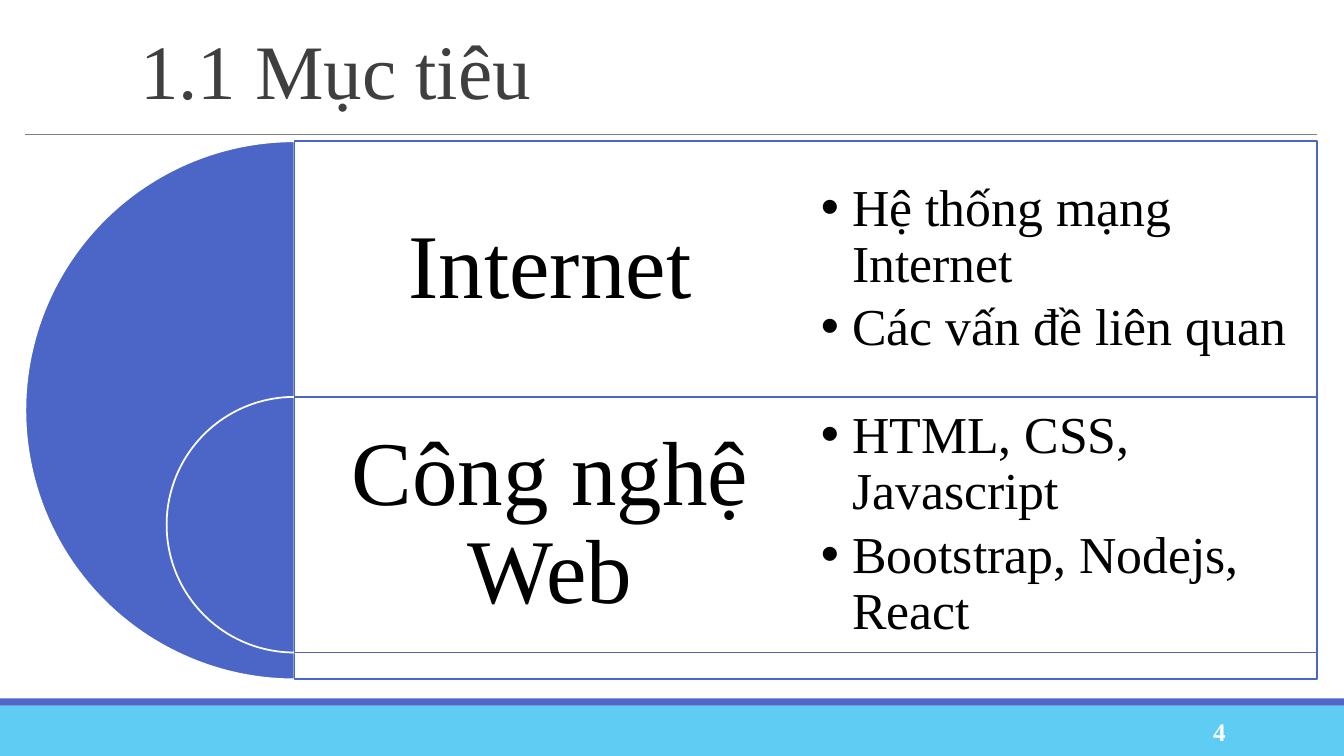
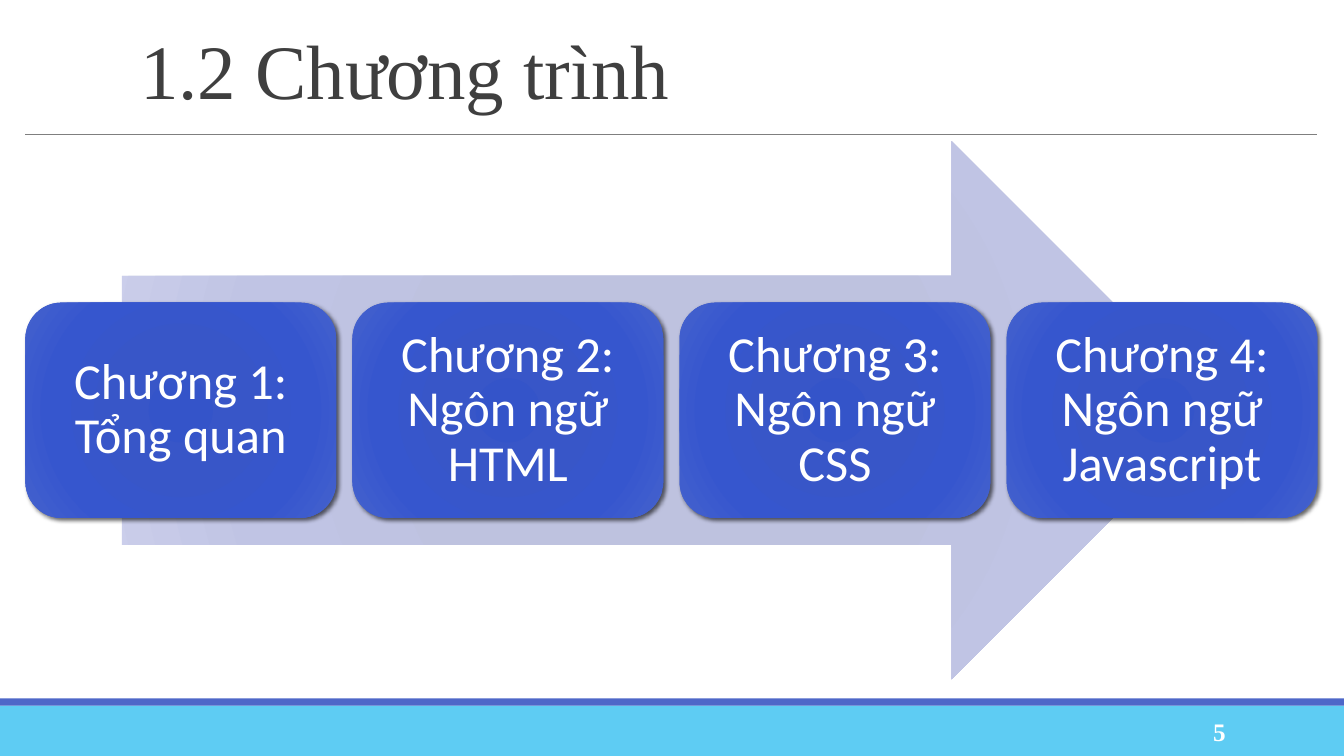
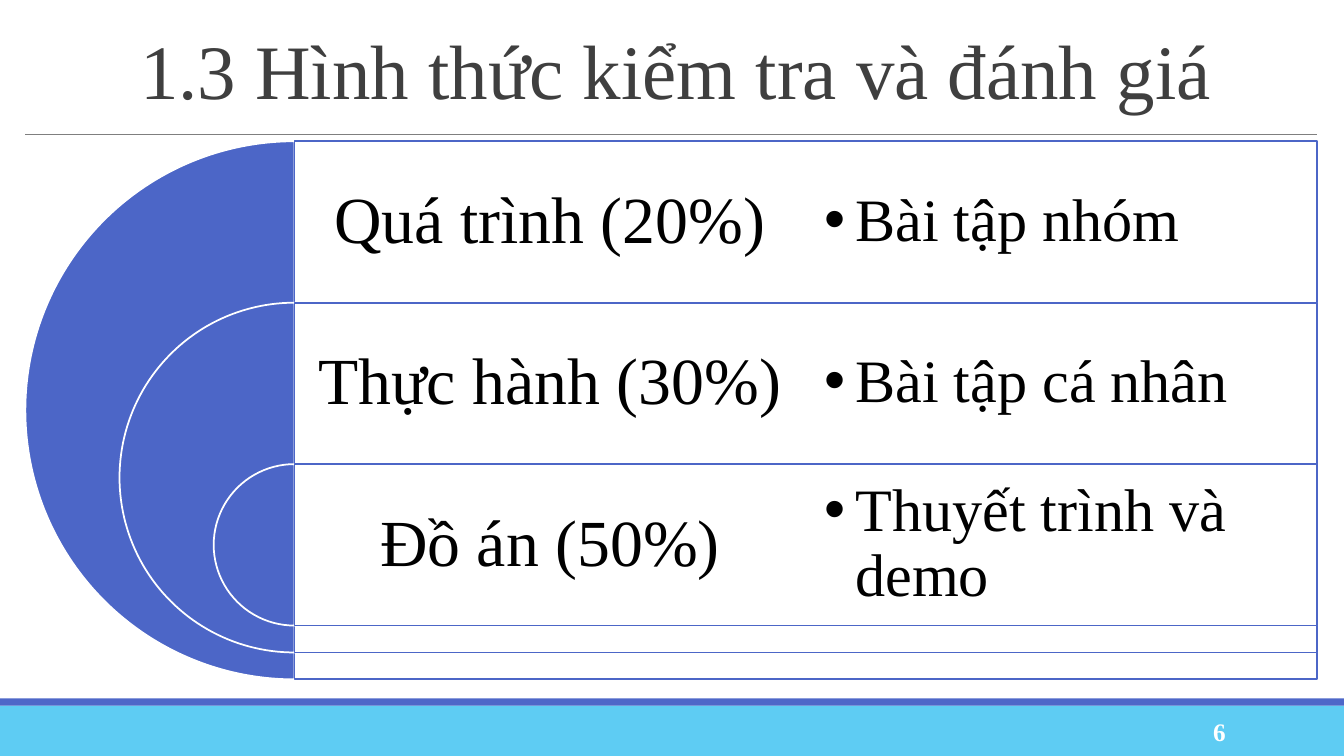
from dataclasses import dataclass

import lxml.etree
import pptx
import pptx.dml.color
import pptx.enum.shapes
import pptx.enum.text
import pptx.oxml.ns
import pptx.util

Cm = pptx.util.Cm
Pt = pptx.util.Pt
Shape = pptx.enum.shapes.MSO_SHAPE
Align = pptx.enum.text.PP_ALIGN
Anchor = pptx.enum.text.MSO_ANCHOR
qn = pptx.oxml.ns.qn

# Shared look
COLORS = {
    "footer": "5ECCF3", "band": "4E67C8", "rule": "7F7F7F", "title": "3F3F3F",
    "accent": "4C66C7", "white": "FFFFFF", "black": "000000",
}
ARROW_STOPS = {0: "BCC0DD", 34: "BEC2DF", 70: "C0C4E4", 100: "CDD0EC"}
CARD_STOPS = {0: "3454C9", 34: "3856C8", 70: "3656CE", 100: "4562CD"}
SERIF, SANS = "Times New Roman", "Calibri"
SLIDE_W, SLIDE_H = 33.87, 19.05

# Content area, in centimetres
LEFT, TOP, WIDTH, HEIGHT = 0.64, 3.56, 32.56, 13.56


@dataclass
class Box:
    left: float
    top: float
    width: float
    height: float

    def lengths(self) -> tuple:
        return Cm(self.left), Cm(self.top), Cm(self.width), Cm(self.height)


@dataclass
class TextStyle:
    size: float
    font: str = SERIF
    color: str = "black"
    bold: bool = False
    align: Align = Align.LEFT
    anchor: Anchor = Anchor.MIDDLE
    spacing: float = 0.9
    margin_x: float = 0.25
    margin_y: float = 0.13
    bullet: bool = False
    space_before: float = 0


@dataclass
class Topic:
    heading: str
    details: list[str]


@dataclass
class TopicStyle:
    heading: TextStyle
    detail: TextStyle


TITLE = TextStyle(55, color="title", anchor=Anchor.TOP, spacing=0.85)
PAGE_NUMBER = TextStyle(18, color="white", bold=True, align=Align.RIGHT, spacing=1)
CHAPTER = TextStyle(36, SANS, "white", align=Align.CENTER, margin_x=0.38, margin_y=0.38)
GOAL_STYLE = TopicStyle(
    TextStyle(65, align=Align.CENTER, margin_x=0.69, margin_y=0.69),
    TextStyle(37, margin_x=0.38, margin_y=0.38, bullet=True, space_before=5.5),
)
GRADING_STYLE = TopicStyle(
    TextStyle(47, align=Align.CENTER, margin_x=0.51, margin_y=0.51),
    TextStyle(43, margin_x=0.46, margin_y=0.46, bullet=True),
)

# Content
GOALS = [
    Topic("Internet", ["Hệ thống mạng Internet", "Các vấn đề liên quan"]),
    Topic("Công nghệ Web", ["HTML, CSS, Javascript", "Bootstrap, Nodejs, React"]),
]
CHAPTERS = [
    "Chương 1: Tổng quan",
    "Chương 2: Ngôn ngữ HTML",
    "Chương 3: Ngôn ngữ CSS",
    "Chương 4: Ngôn ngữ Javascript",
]
GRADING = [
    Topic("Quá trình (20%)", ["Bài tập nhóm"]),
    Topic("Thực hành (30%)", ["Bài tập cá nhân"]),
    Topic("Đồ án (50%)", ["Thuyết trình và demo"]),
]


# Drawing helpers
def rgb(name: str) -> pptx.dml.color.RGBColor:
    return pptx.dml.color.RGBColor.from_string(COLORS[name])


def add_xml(parent, tag: str, **attributes):
    return lxml.etree.SubElement(
        parent, qn(tag), {key: str(value) for key, value in attributes.items()})


def write_text(shape, paragraphs: list[str], style: TextStyle) -> None:
    frame = shape.text_frame
    frame.word_wrap = True
    frame.vertical_anchor = style.anchor
    frame.margin_left = frame.margin_right = Cm(style.margin_x)
    frame.margin_top = frame.margin_bottom = Cm(style.margin_y)
    for index, words in enumerate(paragraphs):
        paragraph = frame.add_paragraph() if index else frame.paragraphs[0]
        paragraph.alignment = style.align
        paragraph.line_spacing = style.spacing
        if index:
            paragraph.space_before = Pt(style.space_before)
        if style.bullet:
            paragraph.level = 1
            properties = paragraph._p.get_or_add_pPr()
            properties.set("marL", str(Cm(0.79)))
            properties.set("indent", str(-Cm(0.79)))
            add_xml(properties, "a:buFont", typeface="Arial")
            add_xml(properties, "a:buChar", char="•")
        run = paragraph.add_run()
        run.text = words
        run.font.name = style.font
        run.font.size = Pt(style.size)
        run.font.bold = style.bold
        run.font.color.rgb = rgb(style.color)


def add_text(slide, box: Box, paragraphs: list[str], style: TextStyle) -> None:
    write_text(slide.shapes.add_textbox(*box.lengths()), paragraphs, style)


def add_figure(slide, kind: Shape, box: Box, fill: str = "", line: str = ""):
    figure = slide.shapes.add_shape(kind, *box.lengths())
    figure.shadow.inherit = False
    if fill:
        figure.fill.solid()
        figure.fill.fore_color.rgb = rgb(fill)
    if line:
        figure.line.color.rgb = rgb(line)
        figure.line.width = Pt(1.25)
    else:
        figure.line.fill.background()
    return figure


def set_radial_fill(figure, stops: dict[int, str]) -> None:
    figure.fill.gradient()
    gradient = figure._element.spPr.find(qn("a:gradFill"))
    for child in list(gradient):
        gradient.remove(child)
    stop_list = add_xml(gradient, "a:gsLst")
    for percent, color in stops.items():
        stop = add_xml(stop_list, "a:gs", pos=percent * 1000)
        add_xml(stop, "a:srgbClr", val=color)
    circle = add_xml(gradient, "a:path", path="circle")
    add_xml(circle, "a:fillToRect", l=50000, t=50000, r=50000, b=50000)


def set_drop_shadow(figure) -> None:
    effects = figure._element.spPr.find(qn("a:effectLst"))
    shadow = add_xml(effects, "a:outerShdw", blurRad=Pt(3), dist=Pt(2),
                     dir=45 * 60000, algn="ctr", rotWithShape=0)
    color = add_xml(shadow, "a:srgbClr", val=COLORS["black"])
    add_xml(color, "a:alpha", val=60000)


# Slide frame: footer, title and page number
def add_framed_slide(deck, title: str, number: int):
    slide = deck.slides.add_slide(deck.slide_layouts[6])
    add_figure(slide, Shape.RECTANGLE, Box(0, 17.78, SLIDE_W, 1.27), "footer")
    add_figure(slide, Shape.RECTANGLE, Box(0, 17.6, SLIDE_W, 0.18), "band")
    rule = slide.shapes.add_connector(
        pptx.enum.shapes.MSO_CONNECTOR.STRAIGHT,
        Cm(LEFT), Cm(3.38), Cm(LEFT + WIDTH), Cm(3.38))
    rule.line.color.rgb = rgb("rule")
    rule.line.width = Pt(0.75)
    add_xml(rule._element.spPr, "a:effectLst")
    add_text(slide, Box(3.28, 0.79, 29.92, 2.44), [title], TITLE)
    add_text(slide, Box(27.51, 17.93, 3.63, 1.02), [str(number)], PAGE_NUMBER)
    return slide


# Nested half circles, each with a row of heading and details
def add_nested_topics(slide, topics: list[Topic], style: TopicStyle) -> None:
    step = 0.05 * HEIGHT
    row_height = (HEIGHT - step * (len(topics) - 1)) / len(topics)
    axis = LEFT + HEIGHT / 2
    panel_width = LEFT + WIDTH - axis
    column = panel_width / 2
    for index, topic in enumerate(topics):
        top = TOP + index * row_height
        size = HEIGHT - index * (row_height + step)
        half_circle = add_figure(
            slide, Shape.PIE, Box(axis - size / 2, top, size, size), "accent", "white")
        half_circle.adjustments[0] = 54
        half_circle.adjustments[1] = 162
        panel = add_figure(
            slide, Shape.RECTANGLE, Box(axis, top, panel_width, size), "white", "accent")
        panel_color = panel._element.spPr.find(qn("a:solidFill"))[0]
        add_xml(panel_color, "a:alpha", val=90000)
        add_text(slide, Box(axis, top, column, row_height), [topic.heading], style.heading)
        add_text(slide, Box(axis + column, top, column, row_height),
                 topic.details, style.detail)


# Chapter cards in a row over a wide arrow
def add_chapter_path(slide, chapters: list[str]) -> None:
    arrow = add_figure(slide, Shape.RIGHT_ARROW, Box(3.07, TOP, 27.69, HEIGHT))
    set_radial_fill(arrow, ARROW_STOPS)
    gap = 0.41
    card_width = (WIDTH - gap * (len(chapters) - 1)) / len(chapters)
    card_height = 0.4 * HEIGHT
    card_top = TOP + (HEIGHT - card_height) / 2
    for index, chapter in enumerate(chapters):
        left = LEFT + index * (card_width + gap)
        card = add_figure(slide, Shape.ROUNDED_RECTANGLE,
                          Box(left, card_top, card_width, card_height))
        set_radial_fill(card, CARD_STOPS)
        set_drop_shadow(card)
        write_text(card, [chapter], CHAPTER)


def main() -> None:
    deck = pptx.Presentation()
    deck.slide_width, deck.slide_height = Cm(SLIDE_W), Cm(SLIDE_H)

    goals = add_framed_slide(deck, "1.1 Mục tiêu", 4)
    add_nested_topics(goals, GOALS, GOAL_STYLE)

    program = add_framed_slide(deck, "1.2 Chương trình", 5)
    add_chapter_path(program, CHAPTERS)

    grading = add_framed_slide(deck, "1.3 Hình thức kiểm tra và đánh giá", 6)
    add_nested_topics(grading, GRADING, GRADING_STYLE)

    deck.save("out.pptx")


if __name__ == "__main__":
    main()
